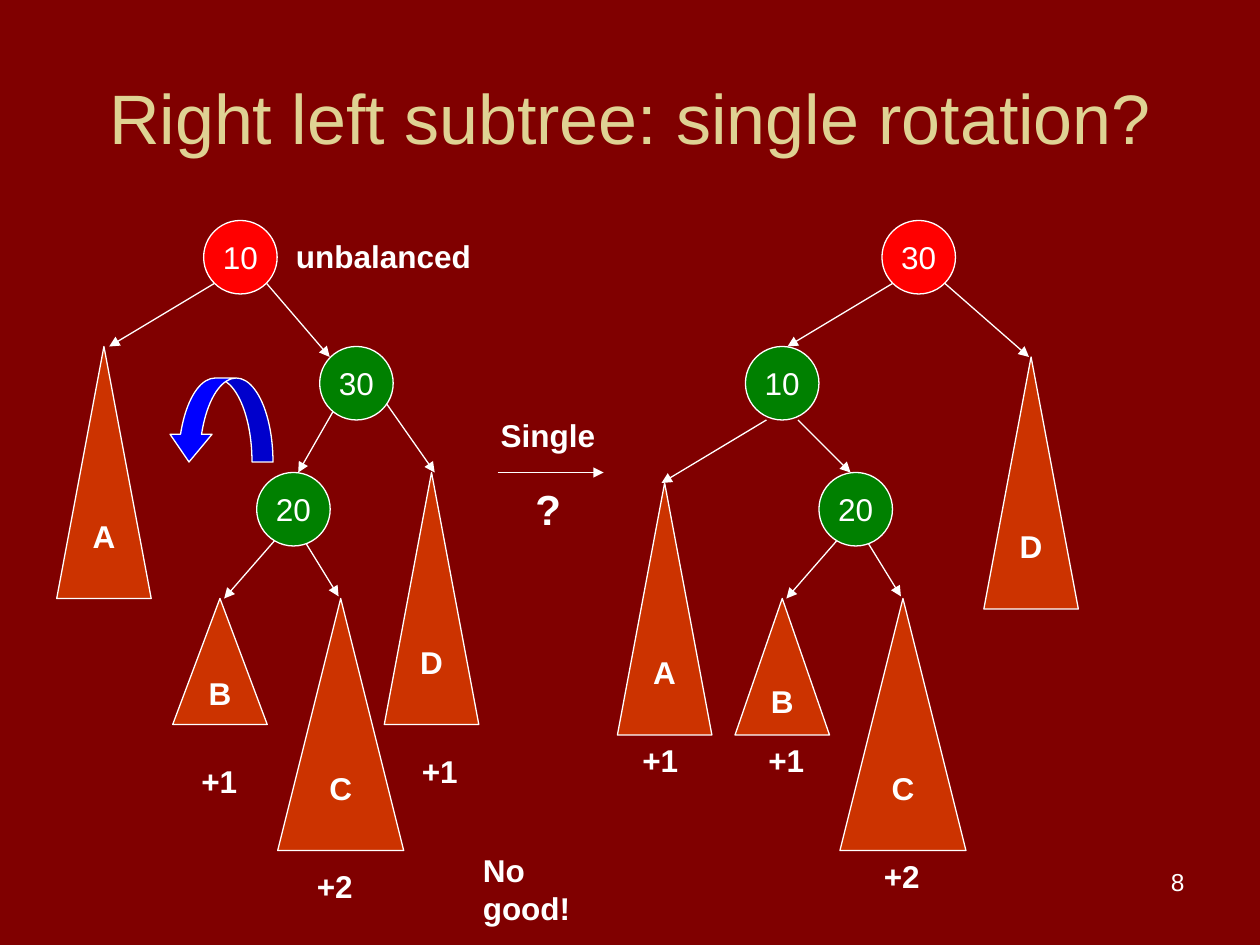
from typing import NamedTuple
from lxml.etree import SubElement
from pptx import Presentation
from pptx.dml.color import RGBColor
from pptx.enum.shapes import MSO_CONNECTOR, MSO_SHAPE
from pptx.enum.text import MSO_ANCHOR, MSO_AUTO_SIZE, PP_ALIGN
from pptx.oxml.ns import qn
from pptx.util import Inches, Pt

HUES = {"back": "800000", "title": "DFD293", "ink": "FFFFFF", "root": "FF0000",
        "node": "008000", "tree": "CC3300", "turn": "0000FF"}
CELL = Inches(1) / 12
DISC = 7


class Node(NamedTuple):
    text: str
    mid: float
    top: float
    hue: str = "node"


class Tree(NamedTuple):
    text: str
    mid: float
    top: float
    wide: float = 9
    high: float = 24


class Edge(NamedTuple):
    x: float
    y: float
    to_x: float
    to_y: float


class Label(NamedTuple):
    text: str
    left: float
    top: float
    wide: float = 5.8
    high: float = 4.8
    size: int = 18


def grid(*cells: float) -> list[int]:
    return [round(cell * CELL) for cell in cells]


def tint(hue: str) -> RGBColor:
    return RGBColor.from_string(HUES[hue])


def write(shape, text: str, *, size: int = 18, bold: bool = False, hue: str = "ink",
          align=PP_ALIGN.CENTER, anchor=MSO_ANCHOR.MIDDLE, wrap: bool = False,
          fit=MSO_AUTO_SIZE.NONE) -> None:
    frame = shape.text_frame
    frame.text = text
    frame.auto_size = fit
    frame.word_wrap = wrap
    frame.vertical_anchor = anchor
    line = frame.paragraphs[0]
    line.alignment = align
    font = line.runs[0].font
    font.name, font.size, font.bold = "Arial", Pt(size), bold
    font.color.rgb = tint(hue)


def form(slide, kind, box: tuple, hue: str):
    shape = slide.shapes.add_shape(kind, *grid(*box))
    shape.shadow.inherit = False
    shape.fill.solid()
    shape.fill.fore_color.rgb = tint(hue)
    shape.line.color.rgb = tint("ink")
    shape.line.width = Pt(0.75)
    return shape


def draw_node(slide, node: Node) -> None:
    box = (node.mid - DISC / 2, node.top, DISC, DISC)
    write(form(slide, MSO_SHAPE.OVAL, box, node.hue), node.text)


def draw_tree(slide, tree: Tree) -> None:
    box = (tree.mid - tree.wide / 2, tree.top, tree.wide, tree.high)
    write(form(slide, MSO_SHAPE.ISOSCELES_TRIANGLE, box, "tree"), tree.text, bold=True)


def draw_edge(slide, edge: Edge) -> None:
    link = slide.shapes.add_connector(MSO_CONNECTOR.STRAIGHT, *grid(*edge))
    link.line.color.rgb = tint("ink")
    link.line.width = Pt(0.75)
    SubElement(link.line._get_or_add_ln(), qn("a:tailEnd"), type="triangle")
    SubElement(link.element.spPr, qn("a:effectLst"))


def draw_label(slide, label: Label) -> None:
    box = slide.shapes.add_textbox(*grid(label.left, label.top, label.wide, label.high))
    write(box, label.text, size=label.size, bold=True, align=PP_ALIGN.LEFT,
          anchor=MSO_ANCHOR.TOP, fit=MSO_AUTO_SIZE.SHAPE_TO_FIT_TEXT)


def draw_turn(slide) -> None:
    turn = form(slide, MSO_SHAPE.CURVED_DOWN_ARROW, (16, 36, 10, 8), "turn")
    turn.adjustments[2] = 0.33
    turn.element.spPr.xfrm.set("flipH", "1")


def branch(mid: float, high: float) -> list:
    return [Edge(mid - 0.5, 50, mid - 6.6, 57), Edge(mid - 0.5, 49, mid + 4.3, 56.8),
            Node("20", mid, 45), Tree("B", mid - 7, 57, high=high),
            Tree("C", mid + 4.5, 57, wide=12)]


LEFT = [
    Edge(20.4, 27, 10.4, 33), Edge(25.4, 27, 31.4, 34),
    Edge(32.4, 38, 28.4, 45), Edge(36.5, 38, 41.4, 45),
    Node("10", 22.9, 21, "root"), Node("30", 33.95, 33),
    Tree("A", 9.9, 33), Tree("D", 41.1, 45), *branch(27.95, 12),
]
RIGHT = [
    Edge(85, 27, 75, 33), Edge(90, 27, 98, 34),
    Edge(73, 40, 63, 46), Edge(76, 40, 81, 45),
    Node("30", 87.5, 21, "root"), Node("10", 74.5, 33),
    Tree("A", 63.3, 46), Tree("D", 98.2, 34), *branch(81.5, 13),
]
NOTES = [
    Edge(47.4, 45, 57.5, 45),
    Label("unbalanced", 27, 22, 19.1), Label("Single", 46.5, 39, 11.4),
    Label("?", 49.8, 45.5, 4.8, 6, 24), Label("No good!", 44.8, 80.5, 15.5),
    Label("+1", 18, 72), Label("+2", 29, 82), Label("+1", 39, 71),
    Label("+1", 60, 70), Label("+1", 72, 70), Label("+2", 83, 81),
]
DRAW = {Edge: draw_edge, Node: draw_node, Tree: draw_tree, Label: draw_label}


def main() -> None:
    deck = Presentation()
    deck.slide_width, deck.slide_height = Inches(10), Inches(7.5)
    slide = deck.slides.add_slide(deck.slide_layouts[5])
    slide.background.fill.solid()
    slide.background.fill.fore_color.rgb = tint("back")

    title = slide.shapes.title
    title.left, title.top, title.width, title.height = grid(6, 3.6, 108, 15)
    write(title, "Right left subtree: single rotation?", size=40, hue="title", wrap=True)

    for item in LEFT + RIGHT + NOTES:
        DRAW[type(item)](slide, item)
    draw_turn(slide)

    page = slide.shapes.add_textbox(*grid(86, 82, 28, 6.2))
    write(page, "8", size=14, align=PP_ALIGN.RIGHT, anchor=MSO_ANCHOR.TOP, wrap=True)
    deck.save("out.pptx")


if __name__ == "__main__":
    main()
